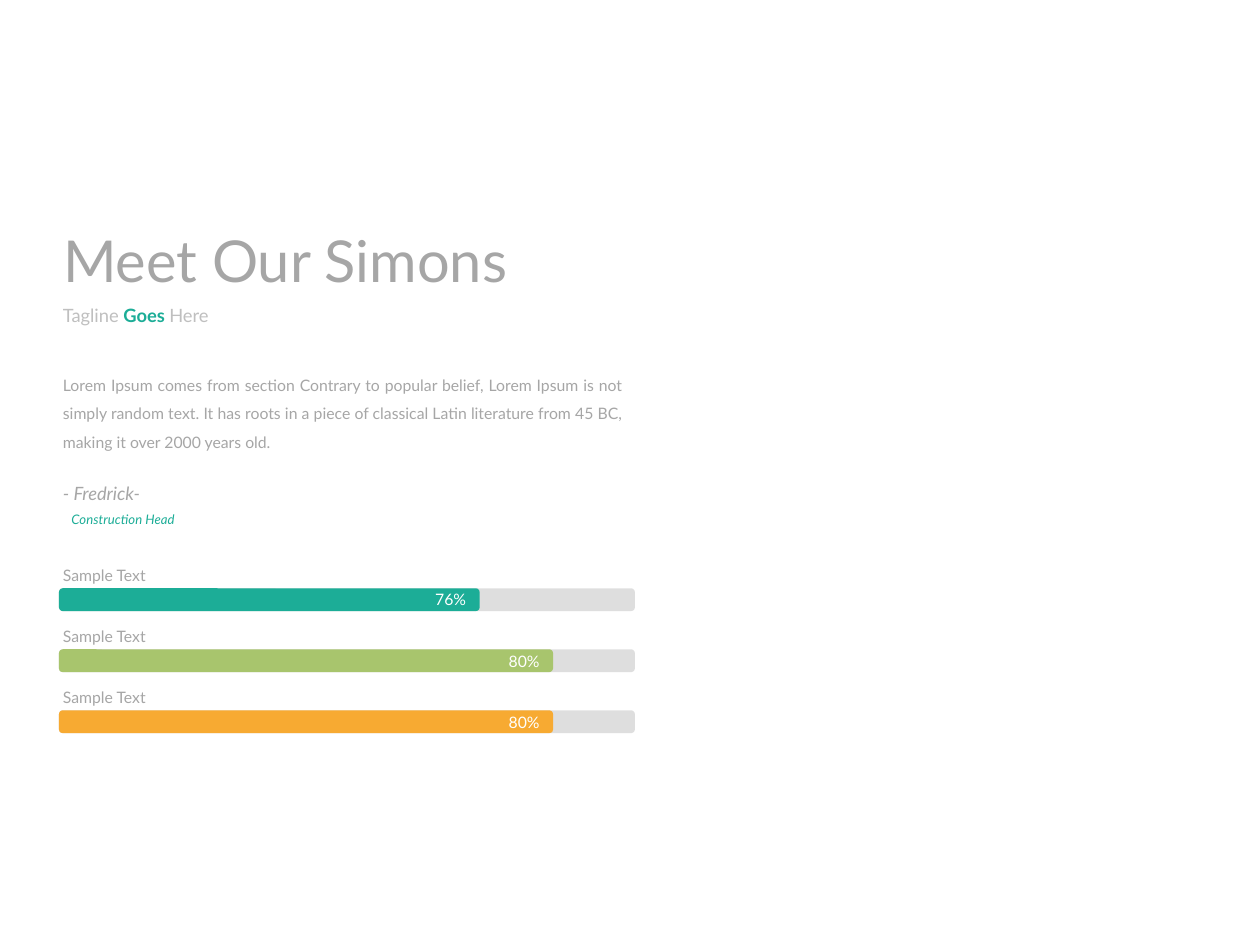
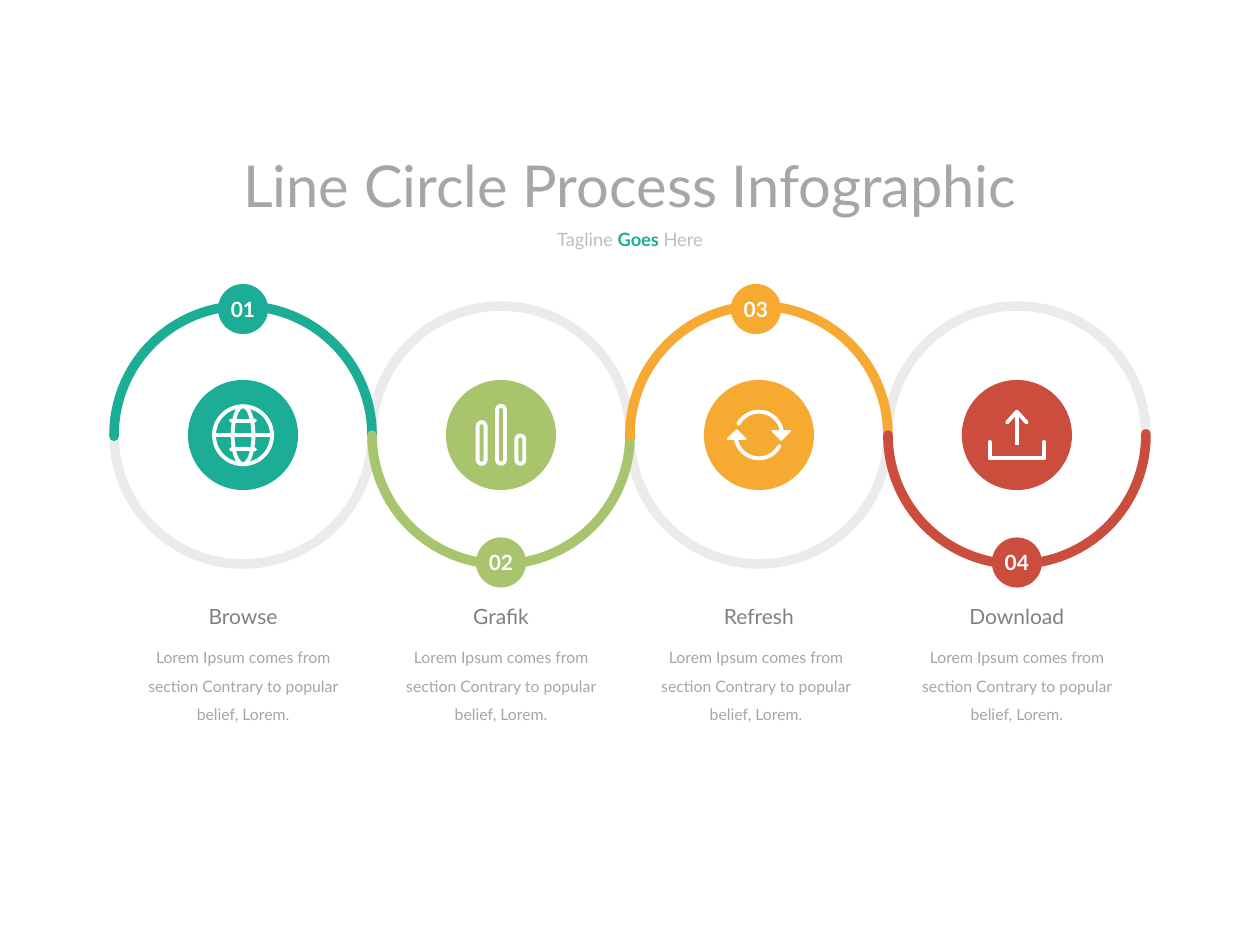
from lxml import etree
from pptx import Presentation
from pptx.dml.color import RGBColor
from pptx.enum.shapes import MSO_CONNECTOR, MSO_SHAPE
from pptx.enum.text import MSO_ANCHOR, PP_ALIGN
from pptx.oxml.ns import qn
from pptx.util import Cm, Pt

OVAL, ARC, ROUND = MSO_SHAPE.OVAL, MSO_SHAPE.ARC, MSO_SHAPE.ROUNDED_RECTANGLE
LINE = MSO_CONNECTOR.STRAIGHT
TOP, MIDDLE = MSO_ANCHOR.TOP, MSO_ANCHOR.MIDDLE
LEFT, CENTER = PP_ALIGN.LEFT, PP_ALIGN.CENTER
RIGHT, JUSTIFY = PP_ALIGN.RIGHT, PP_ALIGN.JUSTIFY

TEAL = RGBColor(0x1C, 0xAD, 0x97)
GREEN = RGBColor(0xA8, 0xC5, 0x6D)
AMBER = RGBColor(0xF7, 0xAA, 0x32)
RED = RGBColor(0xCA, 0x4D, 0x3D)
WHITE = RGBColor(0xFF, 0xFF, 0xFF)
SILVER = RGBColor(0xBF, 0xBF, 0xBF)
GREY = RGBColor(0xA6, 0xA6, 0xA6)
DARK = RGBColor(0x80, 0x80, 0x80)
FONT = "Lato"
STROKE = 2.2


def paint(shape, fill=None, line=None, width=STROKE, fade=None):
    shape.shadow.inherit = False
    if fill is None:
        shape.fill.background()
    else:
        shape.fill.solid()
        shape.fill.fore_color.rgb = fill
    if line is None:
        shape.line.fill.background()
    else:
        shape.line.color.rgb = line
        shape.line.width = Pt(width)
        shape._element.spPr.find(qn("a:ln")).set("cap", "rnd")
    if fade:
        for tint in shape._element.spPr.iter(qn("a:srgbClr")):
            etree.SubElement(tint, qn("a:alpha")).set("val", str(fade * 1000))
    return shape


def write(shape, text, size, color, align=LEFT, anchor=TOP):
    frame = shape.text_frame
    frame.word_wrap = True
    frame.vertical_anchor = anchor
    frame.text = text
    para = frame.paragraphs[0]
    para.alignment = align
    font = para.runs[0].font
    font.name, font.size, font.color.rgb = FONT, Pt(size), color
    return para


deck = Presentation()
deck.slide_width, deck.slide_height = Cm(25.4), Cm(19.05)

pages = []
for text, left, top, width, align in (
    ("Meet Our Simons", 1.02, 4.39, 12, LEFT),
    ("Line Circle Process Infographic", 2.7, 2.87, 20, CENTER),
):
    slide = deck.slides.add_slide(deck.slide_layouts[5])
    title = slide.shapes.title
    title.left, title.top = Cm(left), Cm(top)
    title.width, title.height = Cm(width), Cm(1.68)
    write(title, text, 33, GREY, align, MIDDLE)
    box = slide.shapes.add_textbox(Cm(left), Cm(top + 1.61), Cm(width), Cm(0.71))
    para = write(box, "Tagline ", 10.5, SILVER, align)
    for word, color, bold in (("Goes ", TEAL, True), ("Here", SILVER, False)):
        run = para.add_run()
        run.text = word
        run.font.name, run.font.size = FONT, Pt(10.5)
        run.font.color.rgb, run.font.bold = color, bold
    pages.append(slide.shapes)

team, flow = pages

quote = team.add_textbox(Cm(1.02), Cm(7.26), Cm(11.76), Cm(1.98))
para = write(
    quote,
    "Lorem Ipsum comes from section Contrary to popular belief, Lorem Ipsum is not "
    "simply random text. It has roots in a piece of classical Latin literature from "
    "45 BC, making it over 2000 years old.",
    9, GREY, JUSTIFY,
)
para.line_spacing = 1.5

for text, left, top, size, color in (
    ("- Fredrick-", 1.02, 9.6, 10.5, GREY),
    ("Construction Head", 1.19, 10.19, 7.5, TEAL),
):
    box = team.add_textbox(Cm(left), Cm(top), Cm(5), Cm(0.65))
    write(box, text, size, color).runs[0].font.italic = True

skills = ((TEAL, "76%", 8.48), (GREEN, "80%", 9.96), (AMBER, "80%", 9.96))
for row, (color, share, width) in enumerate(skills):
    top = 11.86 + row * 1.23
    track = team.add_shape(ROUND, Cm(1.19), Cm(top), Cm(11.61), Cm(0.46))
    paint(track, SILVER, fade=50)
    bar = team.add_shape(ROUND, Cm(1.19), Cm(top), Cm(width), Cm(0.46))
    write(paint(bar, color), share, 9, WHITE, RIGHT, MIDDLE)
    label = team.add_textbox(Cm(1.02), Cm(top - 0.58), Cm(5), Cm(0.63))
    write(label, "Sample Text", 9, GREY)

MID, RING, DISC, BADGE, BODY = 8.77, 5.2, 2.22, 1.01, 4.42
hubs = [4.9 + col * RING for col in range(4)]
steps = (
    ("Browse", TEAL, 4.9),
    ("Grafik", GREEN, 10.1),
    ("Refresh", AMBER, 15.24),
    ("Download", RED, 20.5),
)

for hub in hubs:
    ring = flow.add_shape(
        OVAL, Cm(hub - RING / 2), Cm(MID - RING / 2), Cm(RING), Cm(RING)
    )
    paint(ring, line=SILVER, width=5.5, fade=30)

for col, (hub, (name, color, spot)) in enumerate(zip(hubs, steps)):
    arc = flow.add_shape(
        ARC, Cm(hub - RING / 2), Cm(MID - RING / 2), Cm(RING), Cm(RING)
    )
    arc.adjustments[0], arc.adjustments[1] = 107.66, 0
    arc.rotation = col % 2 * 180
    paint(arc, line=color, width=5.5)

for col, (hub, (name, color, spot)) in enumerate(zip(hubs, steps)):
    disc = flow.add_shape(
        OVAL, Cm(hub - DISC / 2), Cm(MID - DISC / 2), Cm(DISC), Cm(DISC)
    )
    paint(disc, color)
    head = flow.add_textbox(Cm(hub - BODY / 2), Cm(12.04), Cm(BODY), Cm(0.77))
    write(head, name, 12, DARK, CENTER)
    body = flow.add_textbox(Cm(spot - BODY / 2), Cm(12.75), Cm(BODY), Cm(1.98))
    text = "Lorem Ipsum comes from section Contrary to popular belief, Lorem."
    write(body, text, 9, GREY, CENTER).line_spacing = 1.5
    mark = MID + (2.57 if col % 2 else -2.54)
    badge = flow.add_shape(
        OVAL, Cm(spot - BADGE / 2), Cm(mark - BADGE / 2), Cm(BADGE), Cm(BADGE)
    )
    para = write(paint(badge, color), f"{col + 1:02}", 12, WHITE, CENTER, MIDDLE)
    para.runs[0].font.bold = True
    badge.text_frame.word_wrap = False

globe, chart, cycle, load = hubs

for width in (1.17, 0.42):
    oval = flow.add_shape(
        OVAL, Cm(globe - width / 2), Cm(MID - 0.58), Cm(width), Cm(1.17)
    )
    paint(oval, line=WHITE)

for hub, drop, width, height, start, end in (
    (globe, -0.38, 1.06, 0.2, 20, 160),
    (globe, 0.38, 1.06, 0.2, 200, 340),
    (cycle, 0, 0.94, 0.94, 208, 350),
    (cycle, 0, 0.94, 0.94, 28, 170),
):
    arc = flow.add_shape(
        ARC, Cm(hub - width / 2), Cm(MID + drop - height / 2), Cm(width), Cm(height)
    )
    arc.adjustments[0], arc.adjustments[1] = start * 0.6, end * 0.6
    paint(arc, line=WHITE)

for shift, height in ((-0.39, 0.84), (0, 1.17), (0.39, 0.57)):
    bar = flow.add_shape(
        ROUND, Cm(chart + shift - 0.08), Cm(MID + 0.58 - height), Cm(0.16), Cm(height)
    )
    bar.adjustments[0] = 0.5
    paint(bar, line=WHITE)

for x1, y1, x2, y2 in (
    (globe - 0.58, MID, globe + 0.58, MID),
    (load, MID - 0.45, load, MID + 0.2),
):
    line = flow.add_connector(LINE, Cm(x1), Cm(y1), Cm(x2), Cm(y2))
    line.line.color.rgb = WHITE
    line.line.width = Pt(STROKE)
    etree.SubElement(line._element.spPr, qn("a:effectLst"))

for hub, solid, dots in (
    (cycle, True, ((0.27, -0.08), (0.63, -0.08), (0.45, 0.1))),
    (cycle, True, ((-0.27, 0.08), (-0.63, 0.08), (-0.45, -0.1))),
    (load, False, ((-0.55, 0.14), (-0.55, 0.47), (0.55, 0.47), (0.55, 0.14))),
    (load, False, ((-0.2, -0.25), (0, -0.47), (0.2, -0.25))),
):
    spots = [(Cm(hub + x), Cm(MID + y)) for x, y in dots]
    pen = flow.build_freeform(*spots[0])
    pen.add_line_segments(spots[1:], close=solid)
    shape = pen.convert_to_shape()
    if solid:
        paint(shape, WHITE, WHITE, 1)
    else:
        paint(shape, line=WHITE)

deck.save("out.pptx")
